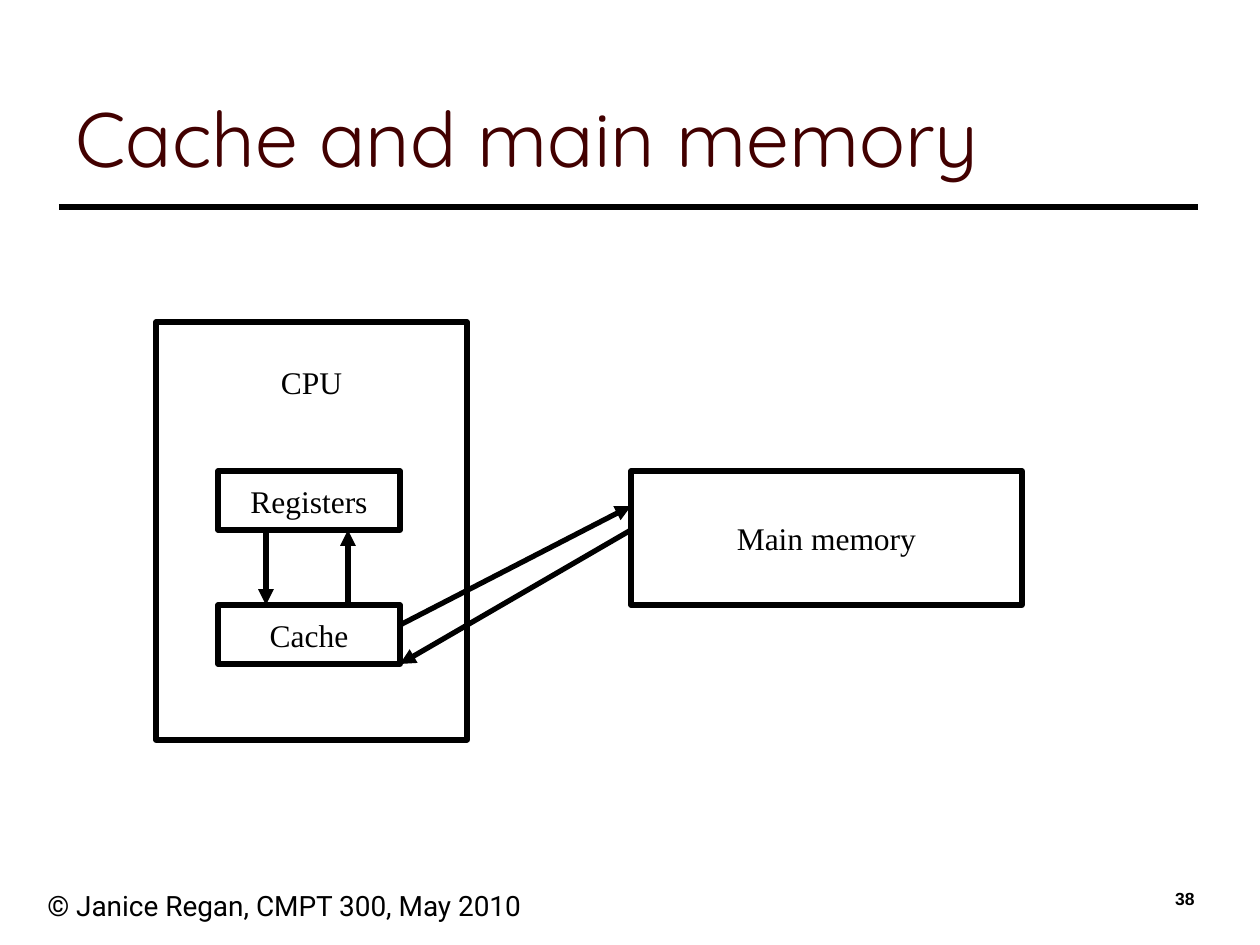
from lxml.etree import SubElement
from pptx import Presentation
from pptx.dml.color import RGBColor
from pptx.enum.shapes import MSO_CONNECTOR, MSO_SHAPE
from pptx.enum.text import MSO_ANCHOR, PP_ALIGN
from pptx.oxml.ns import qn
from pptx.util import Emu, Pt

BLACK = RGBColor(0x00, 0x00, 0x00)
WHITE = RGBColor(0xFF, 0xFF, 0xFF)
MAROON = RGBColor(0x42, 0x00, 0x00)
EMU_PER_PX = 914400 / 126


def px(*lengths):
    return [Emu(round(length * EMU_PER_PX)) for length in lengths]


def write(holder, text, font, size, color=BLACK, bold=False,
          align=PP_ALIGN.LEFT, anchor=MSO_ANCHOR.TOP, wrap=True):
    frame = holder.text_frame
    frame.word_wrap = wrap
    frame.vertical_anchor = anchor
    frame.text = text
    paragraph = frame.paragraphs[0]
    paragraph.alignment = align
    paragraph.font.name = font
    paragraph.font.size = Pt(size)
    paragraph.font.bold = bold
    paragraph.font.color.rgb = color


deck = Presentation()
deck.slide_width, deck.slide_height = px(1260, 945)
slide = deck.slides.add_slide(deck.slide_layouts[5])
shapes = slide.shapes

title = shapes.title
title.left, title.top, title.width, title.height = px(63, 32, 1134, 157)
write(title, "Cache and main memory", "Quicksand", 44, color=MAROON,
      anchor=MSO_ANCHOR.BOTTOM)

copyright_line = shapes.add_textbox(*px(35, 882, 605, 63))
write(copyright_line, "© Janice Regan, CMPT 300, May 2010", "Roboto", 16)
page_number = shapes.add_textbox(*px(945, 882, 262, 63))
write(page_number, "38", "Arial", 10, bold=True, align=PP_ALIGN.RIGHT)

components = [
    ("CPU", (156, 322, 311, 418), MSO_ANCHOR.TOP, 41),
    ("Registers", (218, 471, 182, 59), MSO_ANCHOR.MIDDLE, 6),
    ("Cache", (218, 605, 182, 59), MSO_ANCHOR.MIDDLE, 6),
    ("Main memory", (631, 471, 391, 134), MSO_ANCHOR.MIDDLE, 6),
]
for name, bounds, anchor, inset in components:
    component = shapes.add_shape(MSO_SHAPE.RECTANGLE, *px(*bounds))
    component.shadow.inherit = False
    component.fill.solid()
    component.fill.fore_color.rgb = WHITE
    component.line.color.rgb = BLACK
    component.line.width = Pt(3)
    component.text_frame.margin_top, = px(inset)
    write(component, name, "Times New Roman", 18, align=PP_ALIGN.CENTER,
          anchor=anchor, wrap=False)

links = [
    ((59, 207, 1198, 207), False),
    ((266, 530, 266, 605), True),
    ((348, 605, 348, 530), True),
    ((400, 625, 631, 506), True),
    ((631, 530, 400, 664), True),
]
for ends, has_arrow in links:
    link = shapes.add_connector(MSO_CONNECTOR.STRAIGHT, *px(*ends))
    link.line.color.rgb = BLACK
    link.line.width = Pt(3)
    properties = link._element.spPr
    if has_arrow:
        SubElement(properties.find(qn("a:ln")), qn("a:tailEnd"), type="triangle")
    SubElement(properties, qn("a:effectLst"))

deck.save("out.pptx")
